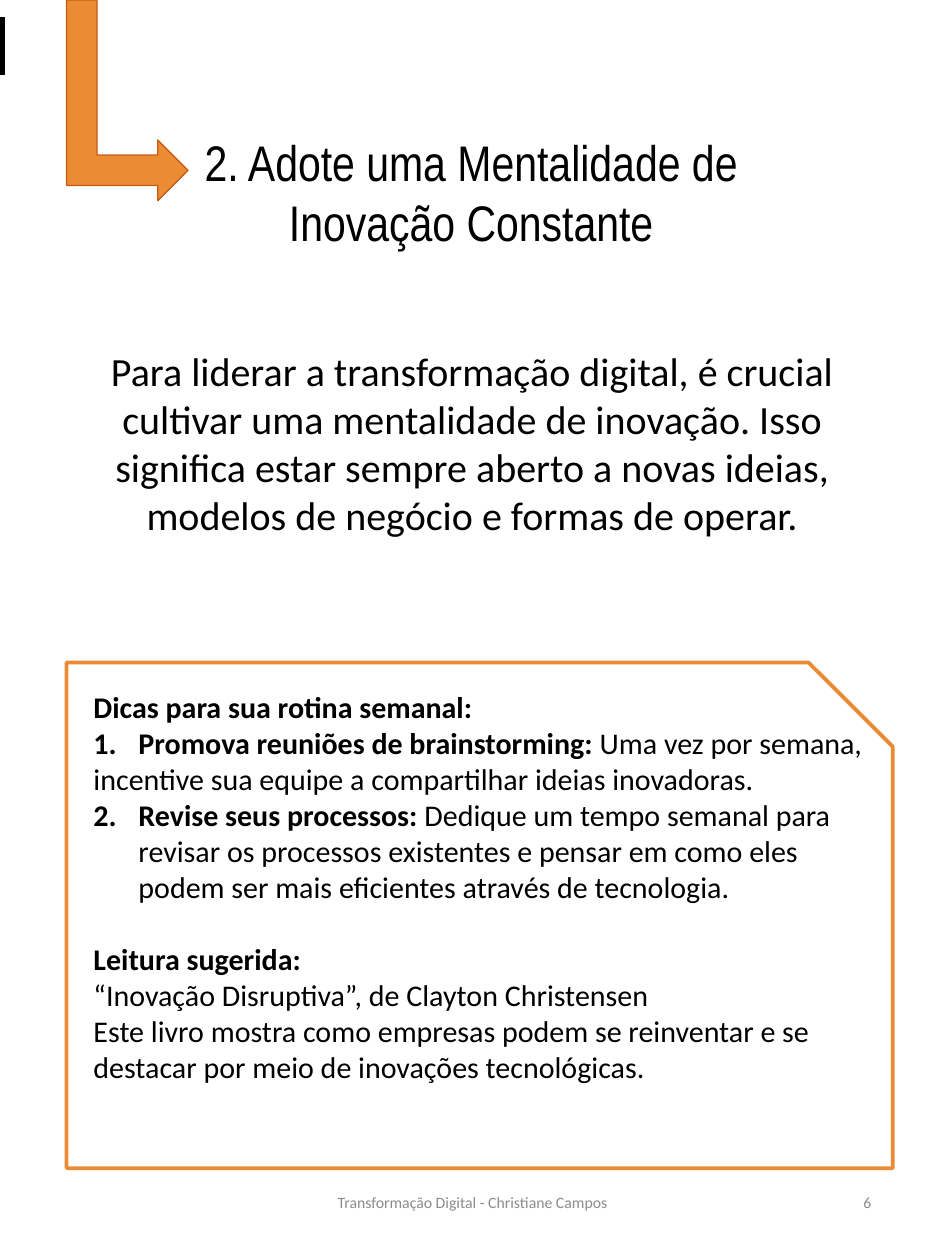
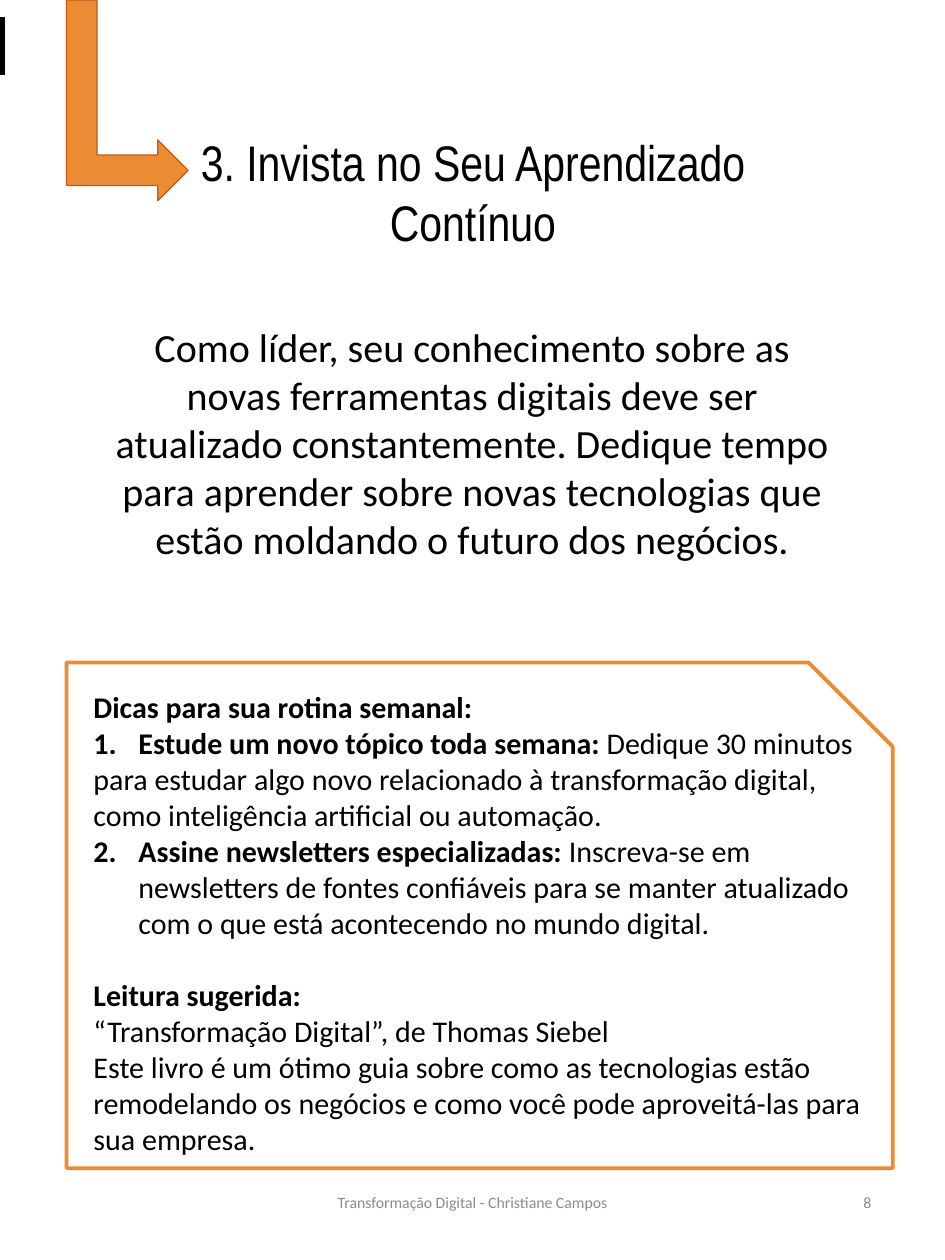
from pptx import Presentation
from pptx.dml.color import RGBColor
from pptx.enum.shapes import MSO_SHAPE
from pptx.enum.text import MSO_ANCHOR, MSO_AUTO_SIZE, PP_ALIGN
from pptx.oxml.xmlchemy import OxmlElement
from pptx.util import Inches, Pt

BLACK = RGBColor(0x00, 0x00, 0x00)
ORANGE = RGBColor(0xEB, 0x8C, 0x35)
DARK_ORANGE = RGBColor(0xC5, 0x5A, 0x11)
GRAY = RGBColor(0x8C, 0x8C, 0x8C)
TITLE_FONT = "Arial Narrow"
BODY_FONT = "Calibri"

FOOTER = "Transformação Digital - Christiane Campos"
TIPS_HEADING = "Dicas para sua rotina semanal:"
READING_HEADING = "Leitura sugerida:"
INTRO_MIDDLE = 4.95

CHAPTERS = [
    {
        "title": "2. Adote uma Mentalidade de Inovação Constante",
        "title_span": (1.88, 6.71),
        "intro": "Para liderar a transformação digital, é crucial cultivar uma mentalidade "
                 "de inovação. Isso significa estar sempre aberto a novas ideias, modelos de "
                 "negócio e formas de operar.",
        "intro_height": 2.32,
        "tips": [
            ("Promova reuniões de brainstorming: ",
             "Uma vez por semana, incentive sua equipe a compartilhar ideias inovadoras."),
            ("Revise seus processos: ",
             "Dedique um tempo semanal para revisar os processos existentes e pensar em "
             "como eles podem ser mais eficientes através de tecnologia."),
        ],
        "reading": [
            "“Inovação Disruptiva”, de Clayton Christensen",
            "Este livro mostra como empresas podem se reinventar e se destacar por meio de "
            "inovações tecnológicas.",
        ],
        "tips_height": 4.95,
        "page": "6",
    },
    {
        "title": "3. Invista no Seu Aprendizado Contínuo",
        "title_span": (1.93, 6.65),
        "intro": "Como líder, seu conhecimento sobre as novas ferramentas digitais deve ser "
                 "atualizado constantemente. Dedique tempo para aprender sobre novas "
                 "tecnologias que estão moldando o futuro dos negócios.",
        "intro_height": 2.86,
        "tips": [
            ("Estude um novo tópico toda semana: ",
             "Dedique 30 minutos para estudar algo novo relacionado à transformação "
             "digital, como inteligência artificial ou automação."),
            ("Assine newsletters especializadas: ",
             "Inscreva-se em newsletters de fontes confiáveis para se manter atualizado "
             "com o que está acontecendo no mundo digital."),
        ],
        "reading": [
            "“Transformação Digital”, de Thomas Siebel",
            "Este livro é um ótimo guia sobre como as tecnologias estão remodelando os "
            "negócios e como você pode aproveitá-las para sua empresa.",
        ],
        "tips_height": 5.76,
        "page": "8",
    },
]


def place(shape, left, top, width, height):
    shape.left, shape.top = Inches(left), Inches(top)
    shape.width, shape.height = Inches(width), Inches(height)


def style_run(run, size, color=BLACK, font=BODY_FONT, bold=False):
    run.font.size = Pt(size)
    run.font.name = font
    run.font.color.rgb = color
    run.font.bold = bold


def set_text(shape, text, size, align, anchor, color=BLACK, font=BODY_FONT):
    frame = shape.text_frame
    frame.text = text
    frame.word_wrap = True
    frame.auto_size = MSO_AUTO_SIZE.NONE
    frame.vertical_anchor = anchor
    paragraph = frame.paragraphs[0]
    paragraph.alignment = align
    style_run(paragraph.runs[0], size, color, font)


def add_text(slide, box, text, size, align=PP_ALIGN.CENTER, color=BLACK):
    shape = slide.shapes.add_textbox(*map(Inches, box))
    set_text(shape, text, size, align, MSO_ANCHOR.MIDDLE, color)
    return shape


def add_preset(slide, preset, box, fill, line, line_width):
    shape = slide.shapes.add_shape(preset, *map(Inches, box))
    shape.shadow.inherit = False
    if fill is None:
        shape.fill.background()
    else:
        shape.fill.solid()
        shape.fill.fore_color.rgb = fill
    shape.line.color.rgb = line
    shape.line.width = Pt(line_width)
    return shape


def number_paragraph(paragraph, start):
    properties = paragraph._p.get_or_add_pPr()
    properties.set("marL", str(Inches(0.5)))
    properties.set("indent", str(Inches(-0.5)))
    number = OxmlElement("a:buAutoNum")
    number.set("type", "arabicPeriod")
    number.set("startAt", str(start))
    properties.append(number)


def add_tips(slide, chapter):
    shape = slide.shapes.add_textbox(*map(Inches, (0.94, 7.6, 8.98, chapter["tips_height"])))
    frame = shape.text_frame
    frame.word_wrap = True
    (first_name, first_text), second_tip = chapter["tips"]
    rows = [(TIPS_HEADING, ""), ("1.\t" + first_name, first_text), second_tip,
            (READING_HEADING, "")] + [("", line) for line in chapter["reading"]]
    for index, (strong, plain) in enumerate(rows):
        paragraph = frame.add_paragraph() if index else frame.paragraphs[0]
        for text, bold in ((strong, True), (plain, False)):
            if text:
                run = paragraph.add_run()
                run.text = text
                style_run(run, 24, bold=bold)
        if strong == READING_HEADING:
            paragraph.space_before = Pt(28.8)
        if (strong, plain) == second_tip:
            number_paragraph(paragraph, 2)


def add_chapter(presentation, chapter):
    slide = presentation.slides.add_slide(presentation.slide_layouts[5])
    title = slide.shapes.title
    left, width = chapter["title_span"]
    place(title, left, 1.41, width, 1.45)
    set_text(title, chapter["title"], 40, PP_ALIGN.CENTER, MSO_ANCHOR.TOP, font=TITLE_FONT)

    height = chapter["intro_height"]
    intro = add_text(slide, (1.11, INTRO_MIDDLE - height / 2, 8.28, height), chapter["intro"], 32)
    intro.text_frame.margin_bottom = Inches(0.11)

    add_preset(slide, MSO_SHAPE.RECTANGLE, (0, 0.19, 0.05, 0.64), BLACK, BLACK, 0.75)
    add_tips(slide, chapter)
    arrow = add_preset(slide, MSO_SHAPE.BENT_UP_ARROW, (0.3, 0.44, 2.23, 1.35),
                       ORANGE, DARK_ORANGE, 1)
    arrow.rotation = 90
    add_text(slide, (7.42, 12.98, 2.36, 0.75), chapter["page"], 12.6, PP_ALIGN.RIGHT, GRAY)
    add_text(slide, (3.48, 12.98, 3.54, 0.75), FOOTER, 12.6, color=GRAY)
    add_preset(slide, MSO_SHAPE.SNIP_1_RECTANGLE, (0.74, 7.36, 9.18, 5.62), None, ORANGE, 3)


def main():
    """Build the chapter pages and save the presentation."""
    presentation = Presentation()
    presentation.slide_width = Inches(10.5)
    presentation.slide_height = Inches(14)
    for chapter in CHAPTERS:
        add_chapter(presentation, chapter)
    presentation.save("out.pptx")


if __name__ == "__main__":
    main()
